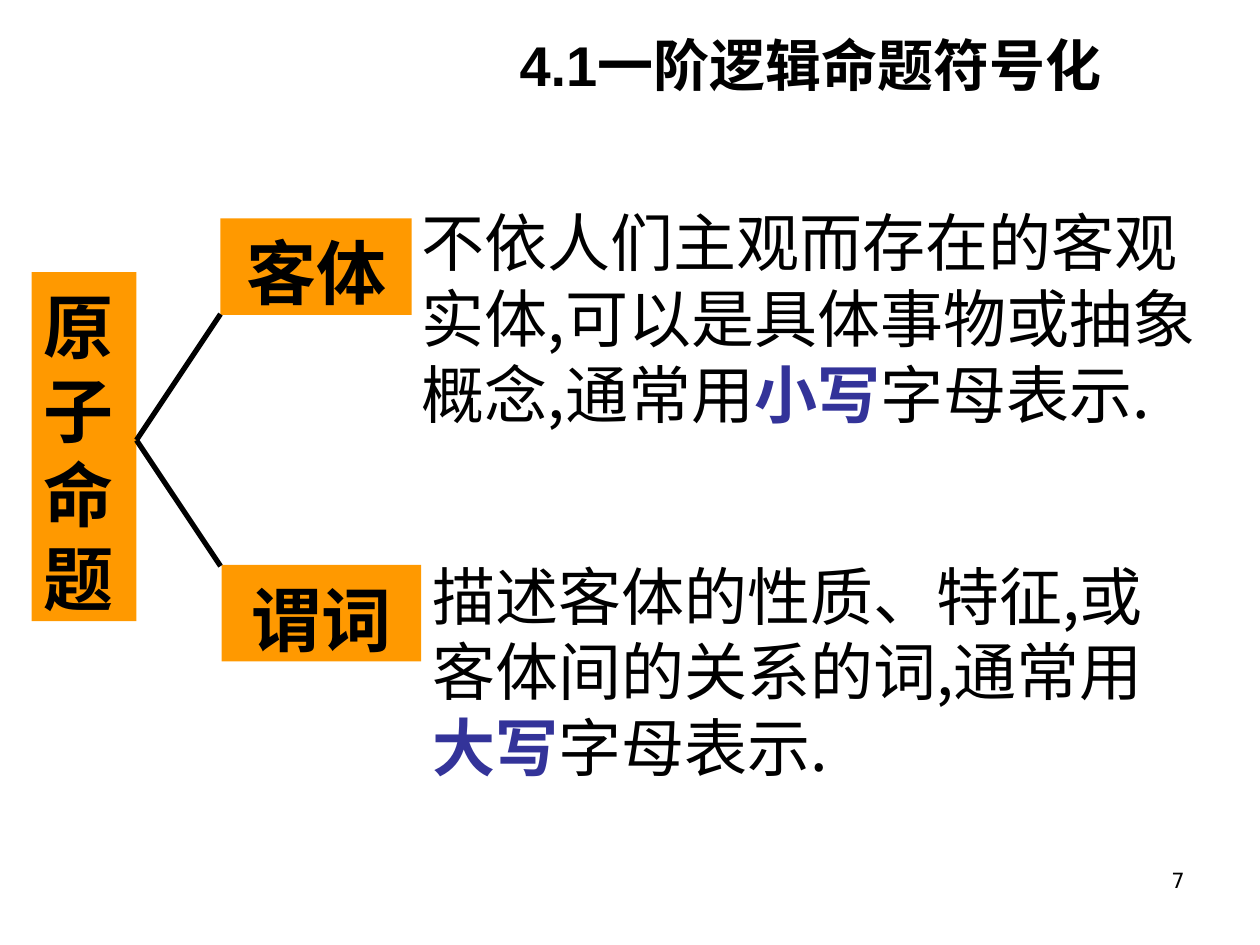
from dataclasses import dataclass

from lxml import etree
from pptx import Presentation
from pptx.dml.color import RGBColor
from pptx.enum.shapes import MSO_CONNECTOR, MSO_SHAPE
from pptx.enum.text import MSO_ANCHOR, MSO_AUTO_SIZE, PP_ALIGN
from pptx.oxml.ns import qn
from pptx.util import Pt

LEFT, CENTER, RIGHT = PP_ALIGN.LEFT, PP_ALIGN.CENTER, PP_ALIGN.RIGHT
TOP, MIDDLE = MSO_ANCHOR.TOP, MSO_ANCHOR.MIDDLE
NO_AUTOFIT = MSO_AUTO_SIZE.NONE
RECTANGLE, STRAIGHT = MSO_SHAPE.RECTANGLE, MSO_CONNECTOR.STRAIGHT
TITLE_ONLY = 5


@dataclass(frozen=True)
class Theme:
    ink: RGBColor = RGBColor(0x00, 0x00, 0x00)
    accent: RGBColor = RGBColor(0x33, 0x33, 0x99)
    label_fill: RGBColor = RGBColor(0xFF, 0x99, 0x00)
    cjk_font: str = "Noto Sans CJK SC"
    title_font: str = "Arial"
    number_font: str = "DejaVu Sans"
    title_size: int = 32
    label_size: int = 40
    body_size: int = 36
    number_size: int = 12
    line_pitch: float = 1.2
    top_inset: float = 6.5
    branch_width: float = 3


class SlideBuilder:
    def __init__(self, slide, theme):
        self.slide = slide
        self.theme = theme

    def style_run(self, run, size, font, bold=False, color=None):
        run.font.size = Pt(size)
        run.font.name = font
        run.font.bold = bold
        run.font.color.rgb = color or self.theme.ink
        east_asian = etree.Element(qn("a:ea"), typeface=self.theme.cjk_font)
        run.font._rPr.find(qn("a:latin")).addnext(east_asian)

    def prepare_frame(self, shape, align, anchor=TOP):
        frame = shape.text_frame
        frame.word_wrap = True
        frame.auto_size = NO_AUTOFIT
        frame.vertical_anchor = anchor
        frame.paragraphs[0].alignment = align
        return frame

    def set_pitch(self, frame, size):
        frame.margin_top = Pt(self.theme.top_inset)
        frame.paragraphs[0].line_spacing = Pt(size * self.theme.line_pitch)

    def title(self, text, left, top, width, height):
        title = self.slide.shapes.title
        title.left, title.top = Pt(left), Pt(top)
        title.width, title.height = Pt(width), Pt(height)
        title.text_frame.text = text
        frame = self.prepare_frame(title, RIGHT, MIDDLE)
        self.style_run(frame.paragraphs[0].runs[0], self.theme.title_size,
                       self.theme.title_font, bold=True)

    def label(self, text, left, top, width, height, align=CENTER):
        box = self.slide.shapes.add_shape(
            RECTANGLE, Pt(left), Pt(top), Pt(width), Pt(height))
        box.shadow.inherit = False
        box.fill.solid()
        box.fill.fore_color.rgb = self.theme.label_fill
        box.line.fill.background()
        box.text_frame.text = text
        frame = self.prepare_frame(box, align)
        self.set_pitch(frame, self.theme.label_size)
        self.style_run(frame.paragraphs[0].runs[0], self.theme.label_size,
                       self.theme.cjk_font, bold=True)

    def definition(self, before, keyword, after, left, top, width, height):
        box = self.slide.shapes.add_textbox(
            Pt(left), Pt(top), Pt(width), Pt(height))
        frame = self.prepare_frame(box, LEFT)
        self.set_pitch(frame, self.theme.body_size)
        for text in (before, keyword, after):
            run = frame.paragraphs[0].add_run()
            run.text = text
            is_keyword = text == keyword
            self.style_run(run, self.theme.body_size, self.theme.cjk_font,
                           bold=is_keyword,
                           color=self.theme.accent if is_keyword else None)

    def branches(self, root, tips):
        group = self.slide.shapes.add_group_shape()
        for tip in tips:
            branch = group.shapes.add_connector(
                STRAIGHT, Pt(tip[0]), Pt(tip[1]), Pt(root[0]), Pt(root[1]))
            branch.line.color.rgb = self.theme.ink
            branch.line.width = Pt(self.theme.branch_width)
            etree.SubElement(branch._element.spPr, qn("a:effectLst"))

    def page_number(self, text, left, top, width, height):
        box = self.slide.shapes.add_textbox(
            Pt(left), Pt(top), Pt(width), Pt(height))
        box.text_frame.text = text
        frame = self.prepare_frame(box, RIGHT)
        self.style_run(frame.paragraphs[0].runs[0], self.theme.number_size,
                       self.theme.number_font)


def main():
    deck = Presentation()
    deck.slide_width, deck.slide_height = Pt(720), Pt(540)
    slide = deck.slides.add_slide(deck.slide_layouts[TITLE_ONLY])
    builder = SlideBuilder(slide, Theme())

    # Page furniture
    builder.page_number("7", 516, 492, 168, 37.5)
    builder.title("4.1一阶逻辑命题符号化", 155.5, 20, 481.5, 33)

    # Atomic proposition and its two parts
    builder.label("原子命题", 18, 155.5, 60, 199.5, LEFT)
    builder.label("客体", 126, 124.75, 109.25, 55.25)
    builder.label("谓词", 126.75, 322.75, 114, 55.25)

    # Definitions
    builder.definition(
        "不依人们主观而存在的客观实体,可以是具体事物或抽象概念,通常用",
        "小写", "字母表示.", 234, 110, 481.5, 138)
    builder.definition(
        "描述客体的性质、特征,或客体间的关系的词,通常用",
        "大写", "字母表示.", 240, 312, 456, 138)

    # Branches, symmetric about the root
    root_x, root_y, reach, spread = 78, 251.5, 48, 72
    builder.branches((root_x, root_y),
                     [(root_x + reach, root_y + side * spread)
                      for side in (-1, 1)])

    deck.save("out.pptx")


if __name__ == "__main__":
    main()
